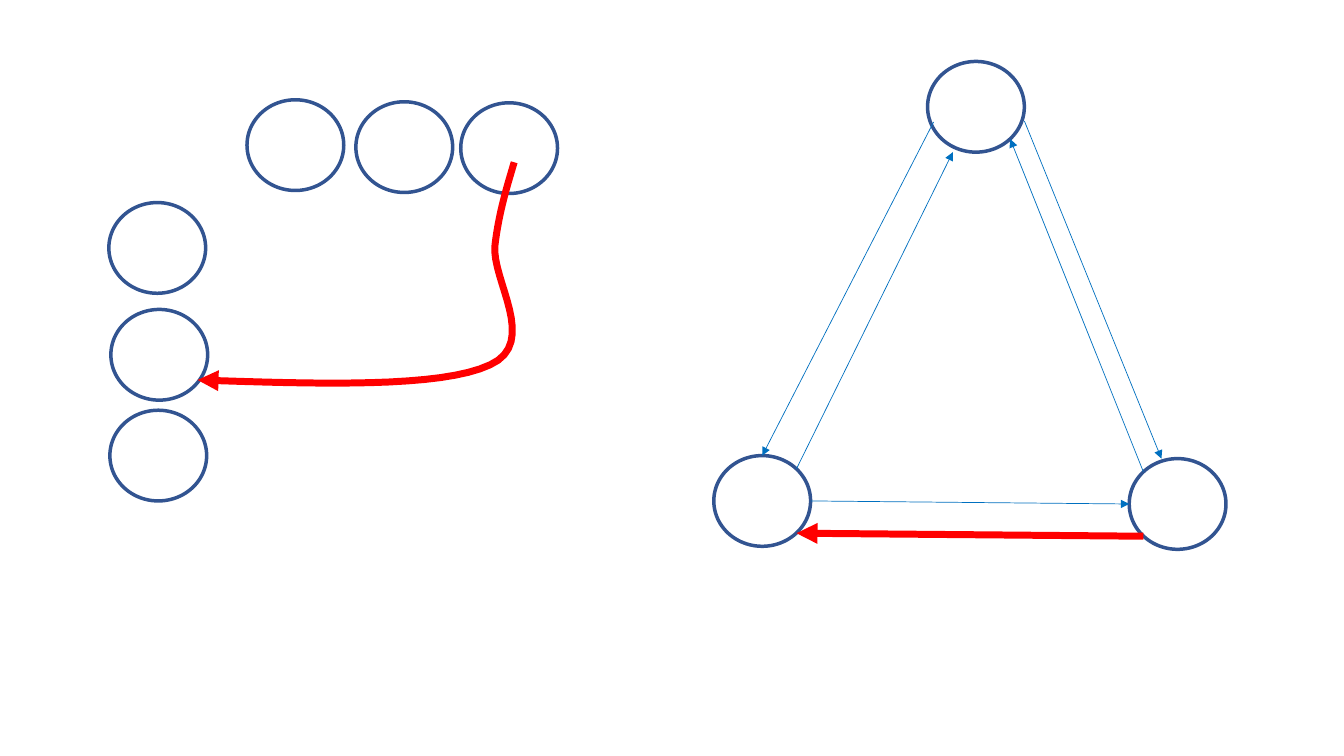
from pptx import Presentation
from pptx.dml.color import RGBColor
from pptx.enum.shapes import MSO_CONNECTOR, MSO_SHAPE
from pptx.oxml.ns import qn
from pptx.util import Inches, Pt
from lxml.etree import SubElement

NAVY = RGBColor(0x32, 0x54, 0x91)
BLUE = RGBColor(0x00, 0x70, 0xC0)
RED = RGBColor(0xFF, 0x00, 0x00)

NODE_WIDTH, NODE_HEIGHT = 0.96, 0.9
CURVE_STEPS = 16

# Left and top of each circle
TRIANGLE_NODES = [(9.2, 0.61), (7.08, 4.52), (11.2, 4.55)]
ROW_NODES = [(2.45, 0.99), (3.53, 1.01), (4.57, 1.02)]
COLUMN_NODES = [(1.08, 2.01), (1.1, 3.07), (1.09, 4.07)]

# Start and end of each thin arrow
THIN_ARROWS = [
    ((9.26, 1.21), (7.56, 4.52)),
    ((7.9, 4.65), (9.45, 1.51)),
    ((10.16, 1.2), (11.52, 4.55)),
    ((11.34, 4.68), (10.02, 1.38)),
    ((8.04, 4.97), (11.2, 5)),
]
RED_ARROW = ((11.34, 5.32), (7.9, 5.29))

# Cubic segments from the row to the column: two controls, then the end
CURVE_START = (5.1, 1.61)
CURVE_SEGMENTS = [
    ((5.03, 1.85), (4.95, 2.1), (4.91, 2.43)),
    ((4.87, 2.77), (5.35, 3.4), (4.86, 3.62)),
    ((4.37, 3.85), (3.16, 3.81), (1.96, 3.77)),
]


def style_arrow(line, color, width):
    line.color.rgb = color
    line.width = Pt(width)
    SubElement(line._get_or_add_ln(), qn("a:tailEnd"), type="triangle")


def add_node(page, left, top):
    node = page.shapes.add_shape(
        MSO_SHAPE.OVAL, Inches(left), Inches(top),
        Inches(NODE_WIDTH), Inches(NODE_HEIGHT))
    node.shadow.inherit = False
    node.fill.background()
    node.line.color.rgb = NAVY
    node.line.width = Pt(2.5)


def add_arrow(page, start, end, color, width):
    arrow = page.shapes.add_connector(
        MSO_CONNECTOR.STRAIGHT, *[Inches(value) for value in start + end])
    style_arrow(arrow.line, color, width)
    SubElement(arrow._element.spPr, qn("a:effectLst"))


def cubic_point(corners, t):
    weights = ((1 - t) ** 3, 3 * t * (1 - t) ** 2, 3 * t ** 2 * (1 - t), t ** 3)
    return tuple(
        Inches(sum(weight * value for weight, value in zip(weights, axis)))
        for axis in zip(*corners))


def add_curved_arrow(page, start, segments, color, width):
    points = []
    corner = start
    for segment in segments:
        points += [cubic_point((corner, *segment), step / CURVE_STEPS)
                   for step in range(1, CURVE_STEPS + 1)]
        corner = segment[-1]
    builder = page.shapes.build_freeform(Inches(start[0]), Inches(start[1]))
    builder.add_line_segments(points, close=False)
    curve = builder.convert_to_shape()
    curve.shadow.inherit = False
    curve.fill.background()
    style_arrow(curve.line, color, width)


def main():
    deck = Presentation()
    deck.slide_width, deck.slide_height = Inches(13.33), Inches(7.5)
    page = deck.slides.add_slide(deck.slide_layouts[6])

    # Circles of the triangle, the row and the column
    for left, top in TRIANGLE_NODES + ROW_NODES + COLUMN_NODES:
        add_node(page, left, top)

    # Arrows of the triangle
    for start, end in THIN_ARROWS:
        add_arrow(page, start, end, BLUE, 0.5)
    add_arrow(page, *RED_ARROW, RED, 5)

    # Curved arrow from the row to the column
    add_curved_arrow(page, CURVE_START, CURVE_SEGMENTS, RED, 5)

    deck.save("out.pptx")


if __name__ == "__main__":
    main()
